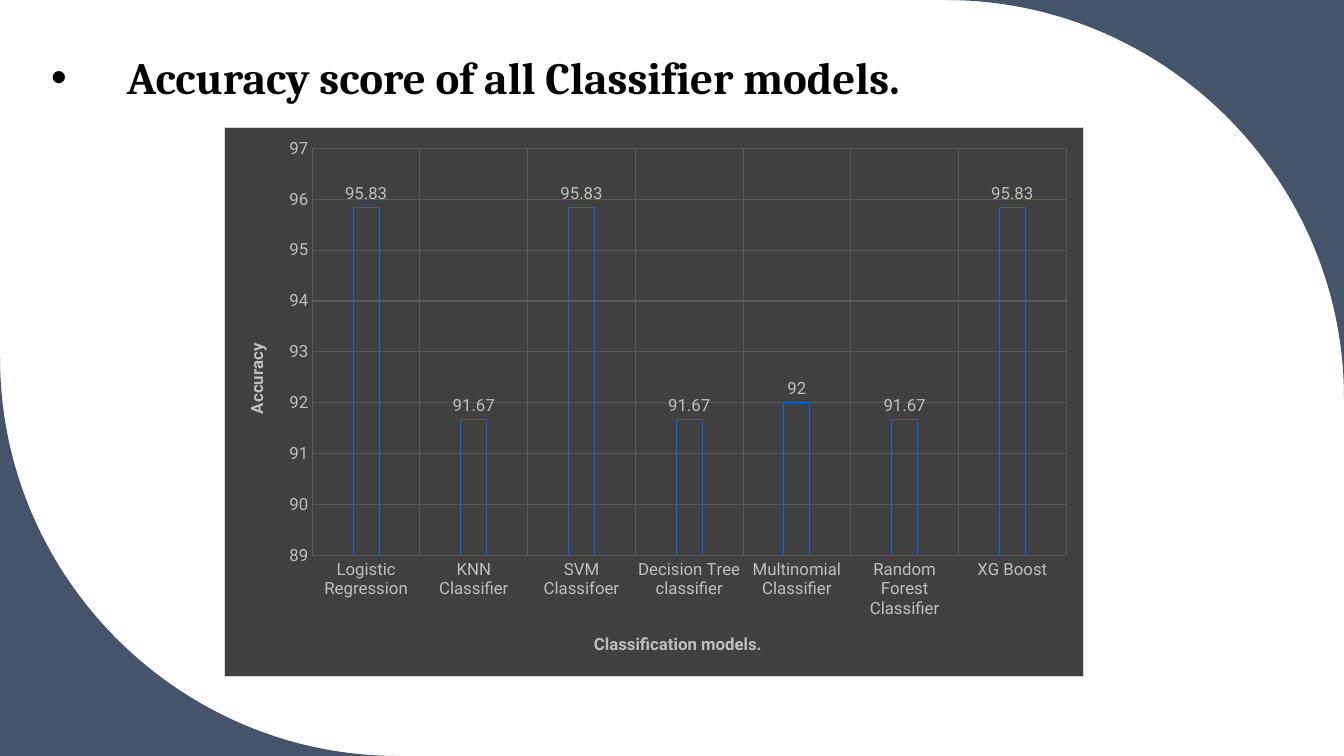
"""Build a slide charting the accuracy score of each classifier model."""
from dataclasses import dataclass

from lxml import etree
from pptx import Presentation
from pptx.chart.data import CategoryChartData
from pptx.dml.color import RGBColor as RGB
from pptx.enum.chart import XL_CHART_TYPE as ChartType
from pptx.enum.chart import XL_LABEL_POSITION as LabelPos
from pptx.enum.chart import XL_TICK_MARK as Tick
from pptx.enum.text import MSO_ANCHOR as Anchor
from pptx.oxml import parse_xml
from pptx.oxml.ns import nsdecls, qn
from pptx.util import Inches, Pt

COLORS = {
    "corner": "44546A",
    "title": "000000",
    "panel": "404040",
    "border": "D9D9D9",
    "grid": "595959",
    "label": "BFBFBF",
    "bar": "0068FF",
}
WIDTH, HEIGHT, RADIUS = 13.33, 7.5, 3.95
ARC_PULL = 0.55


@dataclass(frozen=True)
class Corner:
    x: float
    y: float
    inward: int


@dataclass(frozen=True)
class Score:
    model: str
    accuracy: float


CORNERS = [Corner(WIDTH, 0, -1), Corner(0, HEIGHT, 1)]
SCORES = [
    Score("Logistic Regression", 95.83),
    Score("KNN Classifier", 91.67),
    Score("SVM Classifoer", 95.83),
    Score("Decision Tree classifier", 91.67),
    Score("Multinomial Classifier", 92),
    Score("Random Forest Classifier", 91.67),
    Score("XG Boost", 95.83),
]


def color(name: str) -> RGB:
    return RGB.from_string(COLORS[name])


def style_font(font, name: str, size: float, tint: str, bold: bool = False) -> None:
    font.name, font.size, font.bold = name, Pt(size), bold
    font.color.rgb = color(tint)


def add_corner(slide, corner: Corner) -> None:
    reach = corner.inward * RADIUS
    near = reach * (1 - ARC_PULL)
    offsets = [(reach, 0), (near, 0), (0, -near), (0, -reach)]
    points = [(Inches(corner.x + dx), Inches(corner.y + dy)) for dx, dy in offsets]
    builder = slide.shapes.build_freeform(Inches(corner.x), Inches(corner.y))
    builder.add_line_segments(points, close=True)
    sp = builder.convert_to_shape()
    curve_parts = list(sp._element.iter(qn("a:lnTo")))[1:4]
    curve = etree.Element(qn("a:cubicBezTo"))
    curve_parts[0].addprevious(curve)
    for part in curve_parts:
        curve.append(part[0])
        part.getparent().remove(part)
    sp.shadow.inherit = False
    sp.fill.solid()
    sp.fill.fore_color.rgb = color("corner")
    sp.line.fill.background()


def add_title(slide, text: str) -> None:
    box = slide.shapes.add_textbox(
        Inches(0.41), Inches(-0.37), Inches(10.69), Inches(1.45)
    )
    tf = box.text_frame
    tf.word_wrap = True
    tf.vertical_anchor = Anchor.BOTTOM
    p = tf.paragraphs[0]
    p.line_spacing = 0.9
    r = p.add_run()
    r.text = text
    style_font(r.font, "Cambria", 32, "title", True)
    pPr = p._p.get_or_add_pPr()
    pPr.set("marL", str(Inches(0.75)))
    pPr.set("indent", str(Inches(-0.75)))
    etree.SubElement(pPr, qn("a:buFont")).set("typeface", "Arial")
    etree.SubElement(pPr, qn("a:buChar")).set("char", "•")


def style_axis(axis, title: str) -> None:
    axis.major_tick_mark = axis.minor_tick_mark = Tick.NONE
    axis.format.line.fill.background()
    axis.has_major_gridlines = True
    grid = axis.major_gridlines.format.line
    grid.width = Pt(0.75)
    grid.color.rgb = color("grid")
    style_font(axis.tick_labels.font, "Roboto", 12, "label")
    r = axis.axis_title.text_frame.paragraphs[0].add_run()
    r.text = title
    style_font(r.font, "Roboto", 12, "label", True)


def add_chart(slide, scores: list[Score]) -> None:
    data = CategoryChartData()
    data.categories = [score.model for score in scores]
    data.add_series("Series 1", [score.accuracy for score in scores])
    chart = slide.shapes.add_chart(
        ChartType.COLUMN_CLUSTERED,
        Inches(2.22), Inches(1.26), Inches(8.53), Inches(5.46), data,
    ).chart
    chart.has_title = chart.has_legend = False
    style_font(chart.font, "Roboto", 10, "title")
    panel = parse_xml(
        f'<c:spPr {nsdecls("c", "a")}>'
        f'<a:solidFill><a:srgbClr val="{COLORS["panel"]}"/></a:solidFill>'
        f'<a:ln w="{Pt(0.75)}"><a:solidFill><a:srgbClr val="{COLORS["border"]}"/>'
        "</a:solidFill></a:ln></c:spPr>"
    )
    chart.element.find(qn("c:chart")).addnext(panel)

    style_axis(chart.category_axis, "Classification models.")
    style_axis(chart.value_axis, "Accuracy")
    chart.value_axis.minimum_scale, chart.value_axis.maximum_scale = 89, 97
    chart.value_axis.major_unit = 1

    plot = chart.plots[0]
    plot.gap_width, plot.overlap, plot.vary_by_categories = 315, -40, False
    series = plot.series[0]
    series.format.fill.background()
    series.format.line.width = Pt(0.75)
    series.format.line.color.rgb = color("bar")
    labels = series.data_labels
    labels.show_value = True
    labels.position = LabelPos.OUTSIDE_END
    style_font(labels.font, "Roboto", 12, "label")


def main() -> None:
    prs = Presentation()
    prs.slide_width, prs.slide_height = Inches(WIDTH), Inches(HEIGHT)
    s = prs.slides.add_slide(prs.slide_layouts[6])
    for corner in CORNERS:
        add_corner(s, corner)
    add_title(s, "Accuracy score of all Classifier models.")
    add_chart(s, SCORES)
    prs.save("out.pptx")


if __name__ == "__main__":
    main()
